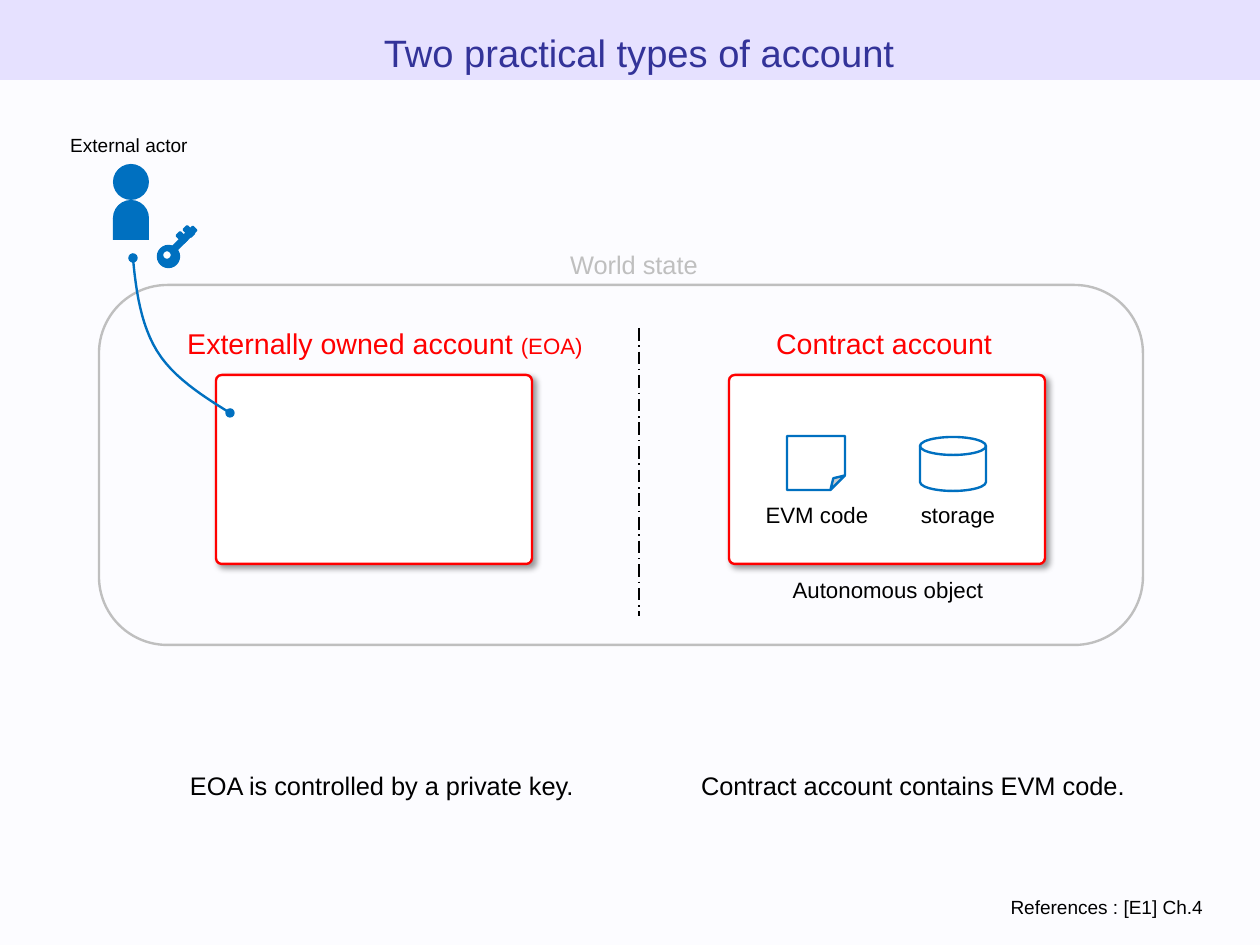
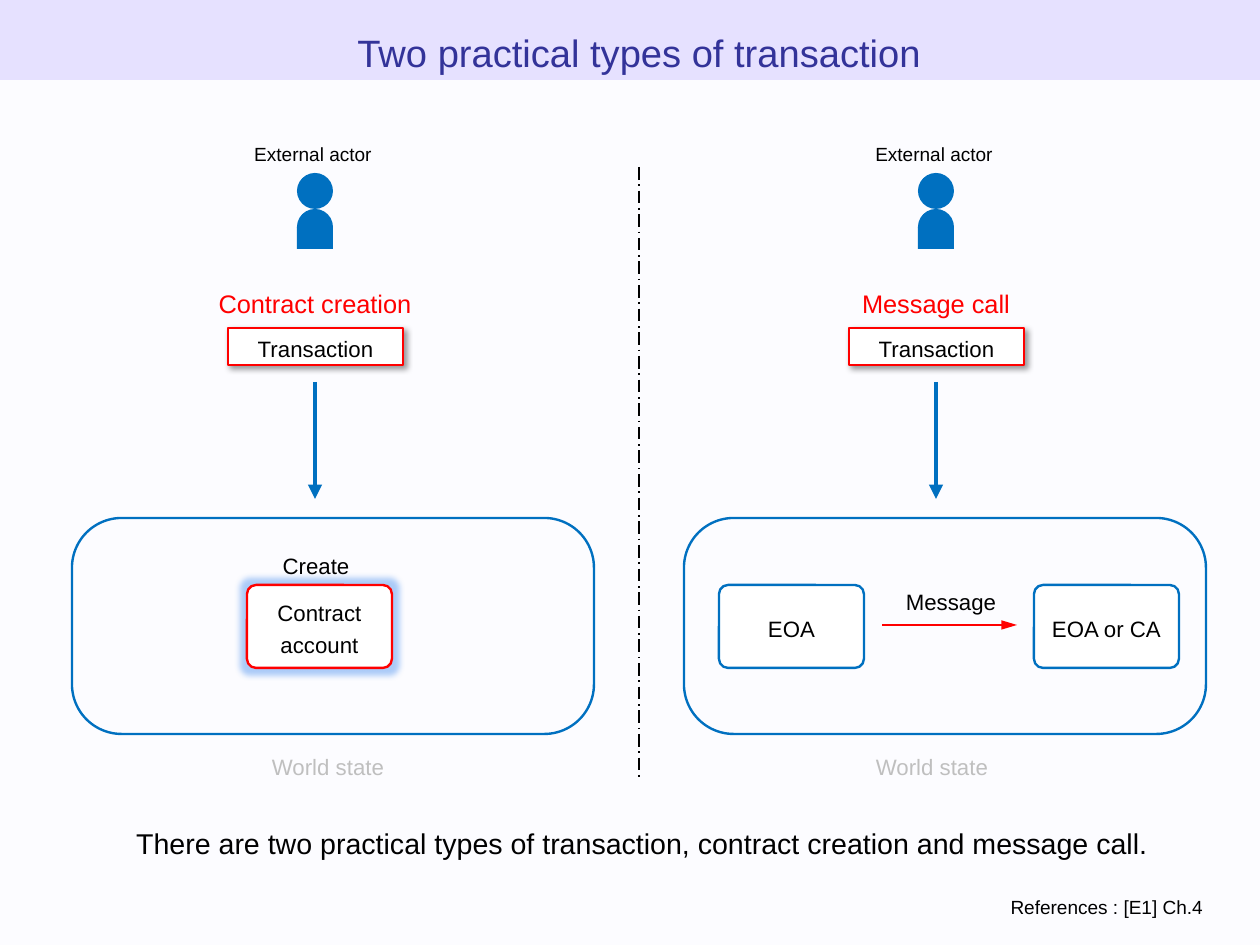
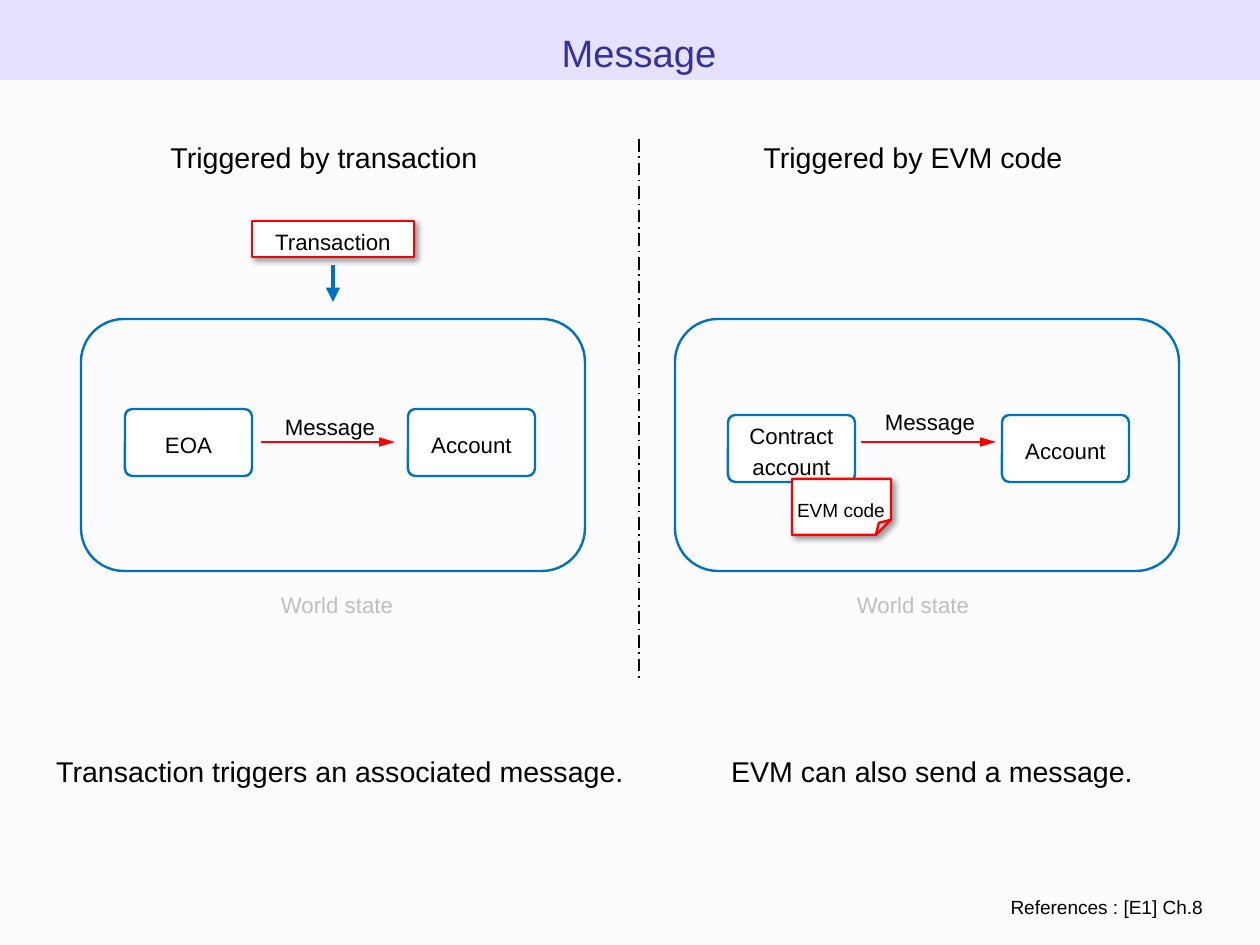
"""Build three slides on account, transaction and message types."""
import lxml.etree
import pptx
import pptx.dml.color
import pptx.enum.dml
import pptx.enum.shapes
import pptx.enum.text
import pptx.oxml.ns
import pptx.util

RGB = pptx.dml.color.RGBColor
SHAPE = pptx.enum.shapes.MSO_SHAPE
ALIGN = pptx.enum.text.PP_ALIGN
qn = pptx.oxml.ns.qn

PX = 8000
WIDTH, HEIGHT = 1260, 945
DIVIDER_X = 639
FONT = "Arial"
PAPER = RGB(0xFC, 0xFC, 0xFF)
BAND = RGB(0xE6, 0xE1, 0xFF)
NAVY = RGB(0x33, 0x33, 0x99)
BLUE = RGB(0x00, 0x70, 0xC0)
RED = RGB(0xFF, 0x00, 0x00)
GRAY = RGB(0xBF, 0xBF, 0xBF)
BLACK = RGB(0x00, 0x00, 0x00)
WHITE = RGB(0xFF, 0xFF, 0xFF)

SHADOW = ("a:outerShdw", {"blurRad": "50800", "dist": "38100", "dir": "2700000",
                          "algn": "tl", "rotWithShape": "0"}, "000000", "40000")
GLOW = ("a:glow", {"rad": "101600"}, "4A90F0", "45000")

KEY_PARTS = [
    (SHAPE.OVAL, (158, 246, 21, 21), 315, BLUE),
    (SHAPE.OVAL, (162, 250, 10, 10), 315, WHITE),
    (SHAPE.RECTANGLE, (168, 237, 31, 5), 315, BLUE),
    (SHAPE.RECTANGLE, (184, 229, 10, 5), 45, BLUE),
    (SHAPE.RECTANGLE, (177, 235, 10, 5), 45, BLUE),
]
OWNERSHIP_CURVE = [
    ((133, 258), (136, 291), (141, 325), (157, 351)),
    ((157, 351), (173, 377), (201, 395), (230, 413)),
]

SLIDES = [
    {
        "title": "Two practical types of account",
        "reference": "References : [E1] Ch.4",
        "divider": (328, 616),
        "frames": {"size": (1044, 360), "corner": 0.19, "color": GRAY, "at": [(99, 285)]},
        "nodes": {"size": (316, 189), "corner": 0.03, "items": [
            ("", 216, 375, RED, SHADOW), ("", 729, 375, RED, SHADOW)]},
        "notes": [((787, 436, 58, 54), BLUE, None)],
        "disks": [(920, 437, 66, 54)],
        "actors": [(113, 164)],
        "key": KEY_PARTS,
        "curve": OWNERSHIP_CURVE,
        "captions": [
            ([("World state", 16)], 634, 262, 225, GRAY),
            ([("Externally owned account ", 18), ("(EOA)", 14)], 385, 340, 437, RED),
            ([("Contract account", 18)], 884, 340, 346, RED),
            ([("EVM code", 14)], 817, 512, 158, BLACK),
            ([("storage", 14)], 958, 512, 143, BLACK),
            ([("Autonomous object", 14)], 888, 587, 221, BLACK),
            ([("EOA is controlled by a private key.", 16)], 382, 783, 477, BLACK),
            ([("Contract account contains EVM code.", 16)], 913, 783, 477, BLACK),
        ],
    },
    {
        "title": "Two practical types of transaction",
        "reference": "References : [E1] Ch.4",
        "divider": (167, 778),
        "frames": {"size": (522, 216), "corner": 0.23, "color": BLUE,
                   "at": [(72, 518), (684, 518)]},
        "nodes": {"size": (145, 83), "corner": 0.11, "items": [
            ("Contract account", 247, 585, RED, GLOW),
            ("EOA", 719, 585, BLUE, None), ("EOA or CA", 1034, 585, BLUE, None)]},
        "transactions": [(228, 328, 175, 37), (849, 328, 175, 37)],
        "actors": [(297, 173), (918, 173)],
        "down_arrows": [(315, 382, 499), (936, 382, 499)],
        "messages": [(882, 1017, 625)],
        "captions": [
            ([("Contract creation", 16)], 315, 301, 234, RED),
            ([("Message call", 16)], 936, 301, 234, RED),
            ([("Create", 14)], 316, 563, 157, BLACK),
            ([("Message", 14)], 951, 599, 157, BLACK),
            ([("World state", 14)], 328, 764, 225, GRAY),
            ([("World state", 14)], 932, 764, 225, GRAY),
            ([("There are two practical types of transaction, "
               "contract creation and message call.", 18)], 642, 840, 1080, BLACK),
        ],
    },
    {
        "title": "Message",
        "reference": "References : [E1] Ch.8",
        "divider": (139, 679),
        "frames": {"size": (504, 252), "corner": 0.17, "color": BLUE,
                   "at": [(81, 319), (675, 319)]},
        "nodes": {"size": (127, 67), "corner": 0.11, "items": [
            ("EOA", 125, 409, BLUE, None), ("Account", 408, 409, BLUE, None),
            ("Contract account", 728, 415, BLUE, None),
            ("Account", 1002, 415, BLUE, None)]},
        "notes": [((792, 479, 99, 56), RED, SHADOW)],
        "transactions": [(252, 221, 162, 36)],
        "down_arrows": [(333, 265, 302)],
        "messages": [(261, 395, 442), (861, 996, 442)],
        "captions": [
            ([("Triggered by transaction", 18)], 324, 154, 387, BLACK),
            ([("Triggered by EVM code", 18)], 913, 154, 387, BLACK),
            ([("Message", 14)], 330, 424, 157, BLACK),
            ([("Message", 14)], 930, 419, 157, BLACK),
            ([("EVM code", 12)], 841, 508, 135, BLACK),
            ([("World state", 14)], 337, 602, 225, GRAY),
            ([("World state", 14)], 913, 602, 225, GRAY),
            ([("Transaction triggers an associated message.", 18)], 340, 768, 594, BLACK),
            ([("EVM can also send a message.", 18)], 932, 768, 441, BLACK),
        ],
    },
]


def px(*lengths):
    """Turn pixel lengths into EMU."""
    return [pptx.util.Emu(round(length * PX)) for length in lengths]


def write(shape, runs, color, align=ALIGN.CENTER):
    """Write one vertically centred paragraph into a shape."""
    frame = shape.text_frame
    frame.word_wrap = True
    frame.vertical_anchor = pptx.enum.text.MSO_ANCHOR.MIDDLE
    frame.margin_top = frame.margin_bottom = 0
    paragraph = frame.paragraphs[0]
    paragraph.alignment = align
    paragraph.line_spacing = 1.17
    for text, size in runs:
        run = paragraph.add_run()
        run.text = text
        run.font.name = FONT
        run.font.size = pptx.util.Pt(size)
        run.font.color.rgb = color


def caption(slide, runs, center, middle, width, color, align=ALIGN.CENTER):
    """Add a text box around a centre point."""
    height = 40
    box = slide.shapes.add_textbox(*px(center - width / 2, middle - height / 2, width, height))
    write(box, runs, color, align)


def paint(shape, fill=None, line=None, effect=None):
    """Set fill, outline and effect of a shape."""
    shape.shadow.inherit = False
    if fill is None:
        shape.fill.background()
    else:
        shape.fill.solid()
        shape.fill.fore_color.rgb = fill
    if line is None:
        shape.line.fill.background()
    else:
        shape.line.color.rgb = line
        shape.line.width = pptx.util.Pt(1.5)
    if effect:
        tag, settings, tint, alpha = effect
        effects = shape.element.spPr.find(qn("a:effectLst"))
        node = lxml.etree.SubElement(effects, qn(tag), settings)
        color = lxml.etree.SubElement(node, qn("a:srgbClr"), val=tint)
        lxml.etree.SubElement(color, qn("a:alpha"), val=alpha)


def block(slide, kind, box, fill=None, line=None, effect=None, corner=None):
    """Add a painted preset shape."""
    shape = slide.shapes.add_shape(kind, *px(*box))
    if corner is not None:
        guides = next(shape.element.spPr.iter(qn("a:avLst")))
        for guide in list(guides):
            guides.remove(guide)
        lxml.etree.SubElement(guides, qn("a:gd"), name="adj",
                              fmla=f"val {round(corner * 100000)}")
    paint(shape, fill, line, effect)
    return shape


def line_end(shape, tag, kind, length="med"):
    """Put an end mark on a line."""
    outline = shape.element.spPr.find(qn("a:ln"))
    lxml.etree.SubElement(outline, qn(tag), type=kind, w="med", len=length)


def straight(slide, start, end, color, weight):
    """Add a straight line without shadow."""
    line = slide.shapes.add_connector(
        pptx.enum.shapes.MSO_CONNECTOR.STRAIGHT, *px(*start, *end))
    line.line.color.rgb = color
    line.line.width = pptx.util.Pt(weight)
    lxml.etree.SubElement(line.element.spPr, qn("a:effectLst"))
    return line


def actor(slide, left, top):
    """Add a labelled person."""
    size = 36
    for kind, offset, height in ((SHAPE.OVAL, 0, size), (SHAPE.OVAL, size, size),
                                 (SHAPE.RECTANGLE, 54, 22)):
        block(slide, kind, (left, top + offset, size, height), BLUE)
    caption(slide, [("External actor", 12)], left + 16, top - 21, 222, BLACK)


def curve(slide, segments, steps=12):
    """Add a Bezier curve with round ends."""
    points = [segments[0][0]]
    for segment in segments:
        for step in range(1, steps + 1):
            t = step / steps
            weights = ((1 - t) ** 3, 3 * t * (1 - t) ** 2, 3 * t * t * (1 - t), t ** 3)
            points.append(tuple(sum(w * p[axis] for w, p in zip(weights, segment))
                                for axis in (0, 1)))
    points = [px(*point) for point in points]
    builder = slide.shapes.build_freeform(*points[0])
    builder.add_line_segments(points[1:], close=False)
    link = builder.convert_to_shape()
    paint(link, line=BLUE)
    line_end(link, "a:headEnd", "oval")
    line_end(link, "a:tailEnd", "oval")


def build(slide, content):
    """Draw one slide from its content."""
    block(slide, SHAPE.RECTANGLE, (0, 0, WIDTH, 80), BAND)
    caption(slide, [(content["title"], 24)], DIVIDER_X, 48, 1188, NAVY)
    caption(slide, [(content["reference"], 12)], 634, 905, 1161, BLACK, ALIGN.RIGHT)

    frames = content["frames"]
    for corner_point in frames["at"]:
        block(slide, SHAPE.ROUNDED_RECTANGLE, corner_point + frames["size"],
              line=frames["color"], corner=frames["corner"])
    nodes = content["nodes"]
    for label, left, top, color, effect in nodes["items"]:
        node = block(slide, SHAPE.ROUNDED_RECTANGLE, (left, top) + nodes["size"],
                     WHITE, color, effect, nodes["corner"])
        if label:
            write(node, [(label, 14)], BLACK)
    for box, color, effect in content.get("notes", []):
        block(slide, SHAPE.FOLDED_CORNER, box, WHITE, color, effect, 0.27)
    for box in content.get("disks", []):
        block(slide, SHAPE.FLOWCHART_MAGNETIC_DISK, box, WHITE, BLUE)
    for box in content.get("transactions", []):
        card = block(slide, SHAPE.RECTANGLE, box, WHITE, RED, SHADOW)
        write(card, [("Transaction", 14)], BLACK)
    for left, top in content.get("actors", []):
        actor(slide, left, top)
    for kind, box, angle, fill in content.get("key", []):
        block(slide, kind, box, fill, BLUE).rotation = angle
    if "curve" in content:
        curve(slide, content["curve"])

    for x, top, bottom in content.get("down_arrows", []):
        arrow = straight(slide, (x, top), (x, bottom), BLUE, 3)
        line_end(arrow, "a:tailEnd", "triangle")
    for left, right, y in content.get("messages", []):
        arrow = straight(slide, (left, y), (right, y), RED, 1.5)
        line_end(arrow, "a:tailEnd", "triangle", "lg")
    top, bottom = content["divider"]
    divider = straight(slide, (DIVIDER_X, top), (DIVIDER_X, bottom), BLACK, 1)
    divider.line.dash_style = pptx.enum.dml.MSO_LINE.LONG_DASH_DOT
    for entry in content["captions"]:
        caption(slide, *entry)


def main():
    """Build and save the presentation."""
    deck = pptx.Presentation()
    deck.slide_width, deck.slide_height = px(WIDTH, HEIGHT)
    backdrop = deck.slide_master.background.fill
    backdrop.solid()
    backdrop.fore_color.rgb = PAPER
    for content in SLIDES:
        build(deck.slides.add_slide(deck.slide_layouts[6]), content)
    deck.save("out.pptx")


if __name__ == "__main__":
    main()
